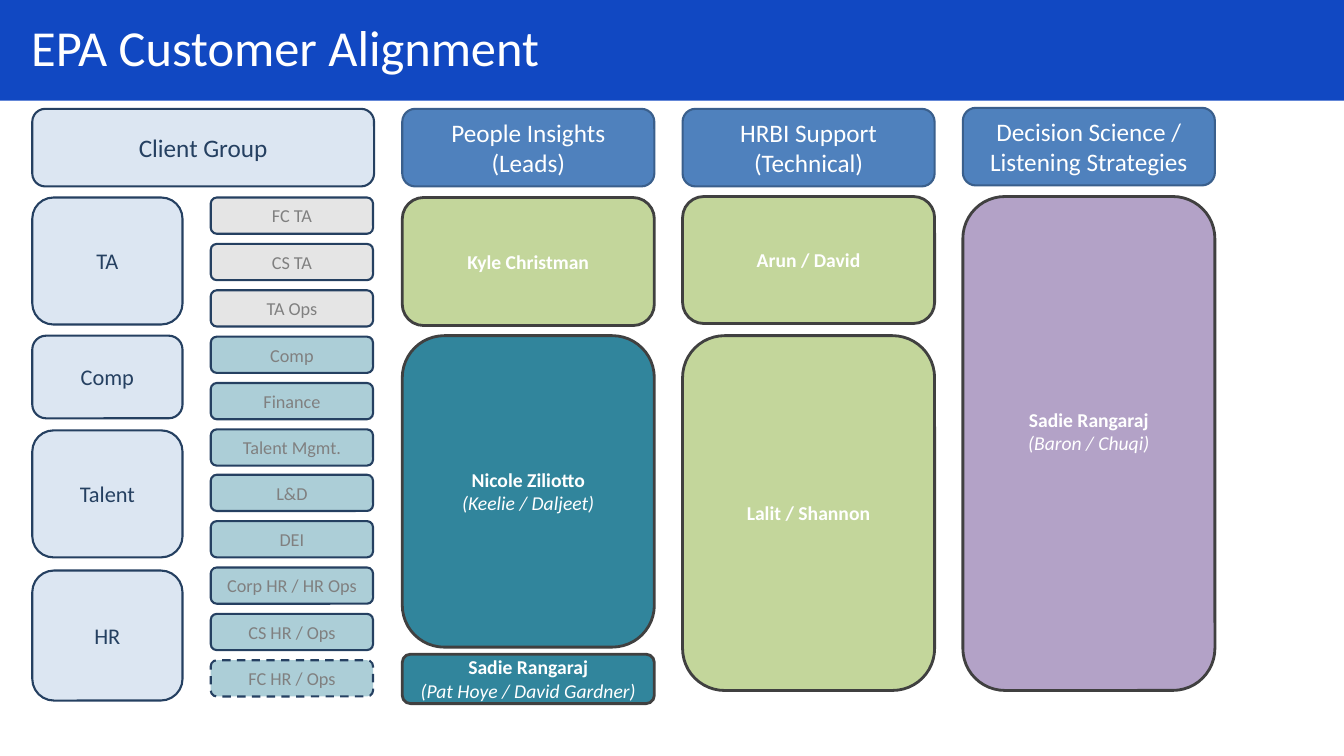
from lxml import etree
from pptx import Presentation
from pptx import util as u
from pptx.dml.color import RGBColor
from pptx.enum import dml, shapes, text
from pptx.oxml import ns

PX = 9144
FONT = "Calibri"
WHITE = RGBColor(0xFF, 0xFF, 0xFF)
BANNER_BLUE = RGBColor(0x11, 0x48, 0xC2)
HEADER_BLUE = RGBColor(0x4F, 0x81, 0xBD)
HEADER_EDGE = RGBColor(0x3A, 0x5F, 0x8C)
PALE_BLUE = RGBColor(0xDC, 0xE6, 0xF2)
NAVY = RGBColor(0x25, 0x40, 0x61)
GREY = RGBColor(0xBF, 0xBF, 0xBF)
TEAM_TEXT = RGBColor(0x80, 0x80, 0x80)
TEAL = RGBColor(0x31, 0x85, 0x9C)
GREEN = RGBColor(0xC3, 0xD6, 0x9B)
PURPLE = RGBColor(0xB3, 0xA2, 0xC7)
CHARCOAL = RGBColor(0x40, 0x40, 0x40)

PEOPLE_X, HRBI_X, SCIENCE_X = 399, 677, 955
COLUMN_WIDTH = 250
TEAM_TOP, TEAM_STEP = 196, 45.9

COLUMN_HEADERS = [
    (PEOPLE_X, 108, ["People Insights", "(Leads)"]),
    (HRBI_X, 108, ["HRBI Support", "(Technical)"]),
    (SCIENCE_X, 107, ["Decision Science / Listening Strategies"]),
]
CLIENT_GROUPS = [("TA", 196, 126), ("Comp", 333, 82), ("Talent", 427, 126), ("HR", 566, 129)]
TEAMS = [
    "FC TA", "CS TA", "TA Ops", "Comp", "Finance", "Talent Mgmt.",
    "L&D", "DEI", "Corp HR / HR Ops", "CS HR / Ops", "FC HR / Ops",
]
OWNERS = [
    (PEOPLE_X, 196, 127, GREEN, ["Kyle Christman"], 5),
    (PEOPLE_X, 333, 309, TEAL, ["Nicole Ziliotto", "(Keelie / Daljeet)"], 5),
    (PEOPLE_X, 649, 49, TEAL, ["Sadie Rangaraj", "(Pat Hoye / David Gardner)"], 5),
    (HRBI_X, 195, 126, GREEN, ["Arun / David"], 5),
    (HRBI_X, 333, 352, GREEN, ["Lalit / Shannon"], 5),
    (SCIENCE_X, 195, 490, PURPLE, ["Sadie Rangaraj", "(Baron / Chuqi)"], 29),
]


def write_text(paragraph, content, size=18, color=WHITE, bold=False, italic=False,
               align=text.PP_ALIGN.CENTER, line_spacing=None):
    paragraph.alignment = align
    paragraph.line_spacing = line_spacing
    run = paragraph.add_run()
    run.text = content
    run.font.name = FONT
    run.font.size = u.Pt(size)
    run.font.color.rgb = color
    run.font.bold = bold
    run.font.italic = italic


def place(shape, left, top, width, height):
    shape.left, shape.top = left * PX, top * PX
    shape.width, shape.height = width * PX, height * PX


def add_banner(slide):
    banner = slide.shapes.add_shape(shapes.MSO_SHAPE.RECTANGLE, 0, 0, 1333 * PX, 100 * PX)
    banner.shadow.inherit = False
    banner.fill.solid()
    banner.fill.fore_color.rgb = BANNER_BLUE
    banner.line.fill.background()
    return banner


def add_title(slide, banner, content):
    title = slide.shapes.title
    place(title, 21, 18, 1272, 71)
    banner.element.addnext(title.element)
    frame = title.text_frame
    frame.vertical_anchor = text.MSO_ANCHOR.TOP
    frame.auto_size = text.MSO_AUTO_SIZE.NONE
    write_text(frame.paragraphs[0], content, size=36,
               align=text.PP_ALIGN.LEFT, line_spacing=0.9)


def add_box(slide, left, top, width, height, fill, edge, edge_width=1.5):
    box = slide.shapes.add_shape(
        shapes.MSO_SHAPE.ROUNDED_RECTANGLE, left * PX, top * PX, width * PX, height * PX)
    box.shadow.inherit = False
    box.fill.solid()
    box.fill.fore_color.rgb = fill
    box.line.color.rgb = edge
    box.line.width = u.Pt(edge_width)
    box.text_frame.word_wrap = True
    box.text_frame.vertical_anchor = text.MSO_ANCHOR.MIDDLE
    return box


def set_opacity(shape, percent):
    color = shape.element.spPr.find(ns.qn("a:solidFill"))[0]
    etree.SubElement(color, ns.qn("a:alpha"), val=str(percent * 1000))


def add_header(slide, left, top, lines):
    header = add_box(slide, left, top, COLUMN_WIDTH, 77, HEADER_BLUE, HEADER_EDGE)
    frame = header.text_frame
    for index, line in enumerate(lines):
        write_text(frame.add_paragraph() if index else frame.paragraphs[0], line)


def add_client_box(slide, label, top, width, height, size):
    box = add_box(slide, 32, top, width, height, PALE_BLUE, NAVY)
    write_text(box.text_frame.paragraphs[0], label, size=size, color=NAVY)


def add_team(slide, index, label):
    top = round(TEAM_TOP + index * TEAM_STEP)
    team = add_box(slide, 209, top, 161, 36, GREY if index < 3 else TEAL, NAVY)
    set_opacity(team, 40)
    write_text(team.text_frame.paragraphs[0], label, size=13, color=TEAM_TEXT)
    return team


def add_owner(slide, left, top, height, fill, lines, bottom_inset):
    owner = add_box(slide, left, top, COLUMN_WIDTH, height, fill, CHARCOAL, 2)
    frame = owner.text_frame
    frame.margin_bottom = bottom_inset * PX
    for index, line in enumerate(lines):
        write_text(frame.add_paragraph() if index else frame.paragraphs[0], line,
                   size=14, bold=index == 0, italic=index > 0)


def main():
    presentation = Presentation()
    presentation.slide_width, presentation.slide_height = 1333 * PX, 750 * PX
    slide = presentation.slides.add_slide(presentation.slide_layouts[5])

    banner = add_banner(slide)
    add_title(slide, banner, "EPA Customer Alignment")

    add_client_box(slide, "Client Group", 108, 339, 77, 18)
    for label, top, height in CLIENT_GROUPS:
        add_client_box(slide, label, top, 149, height, 16)
    for header in COLUMN_HEADERS:
        add_header(slide, *header)

    teams = [add_team(slide, index, label) for index, label in enumerate(TEAMS)]
    teams[-1].line.dash_style = dml.MSO_LINE.DASH

    for owner in OWNERS:
        add_owner(slide, *owner)

    presentation.save("out.pptx")


if __name__ == "__main__":
    main()
